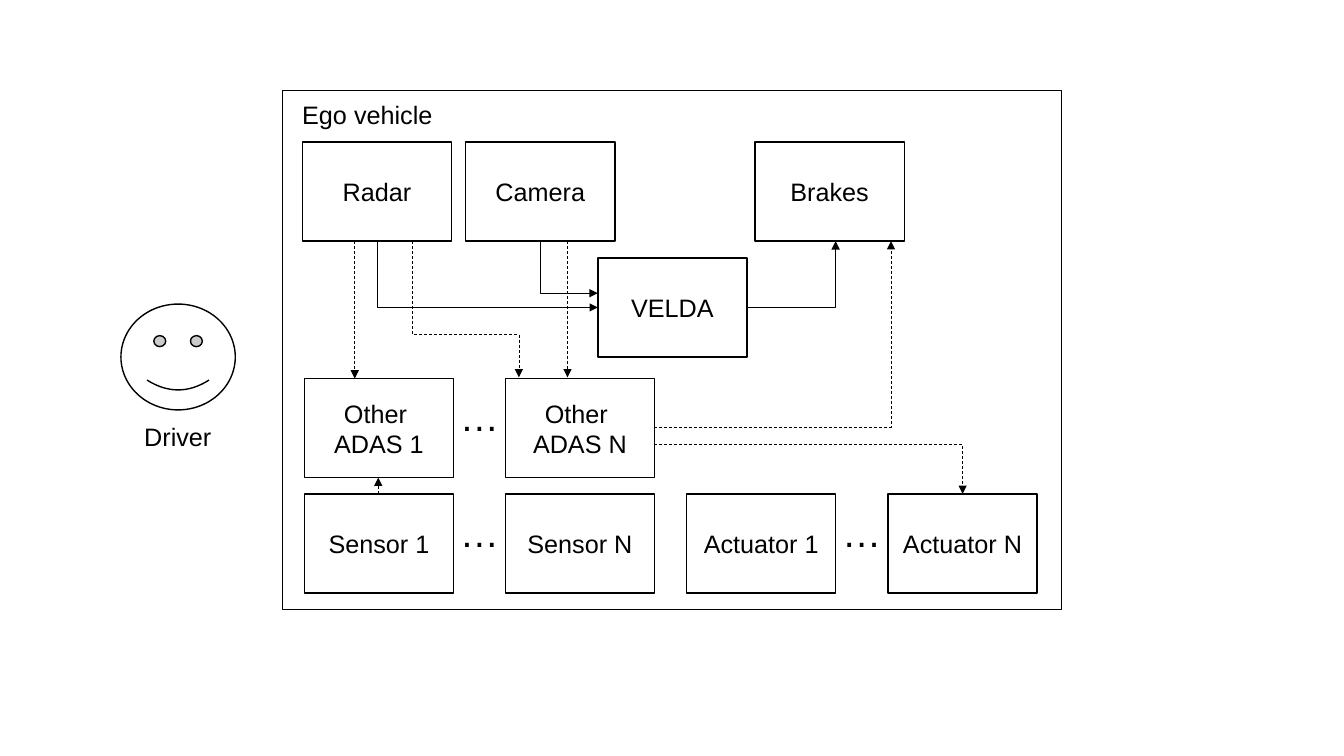
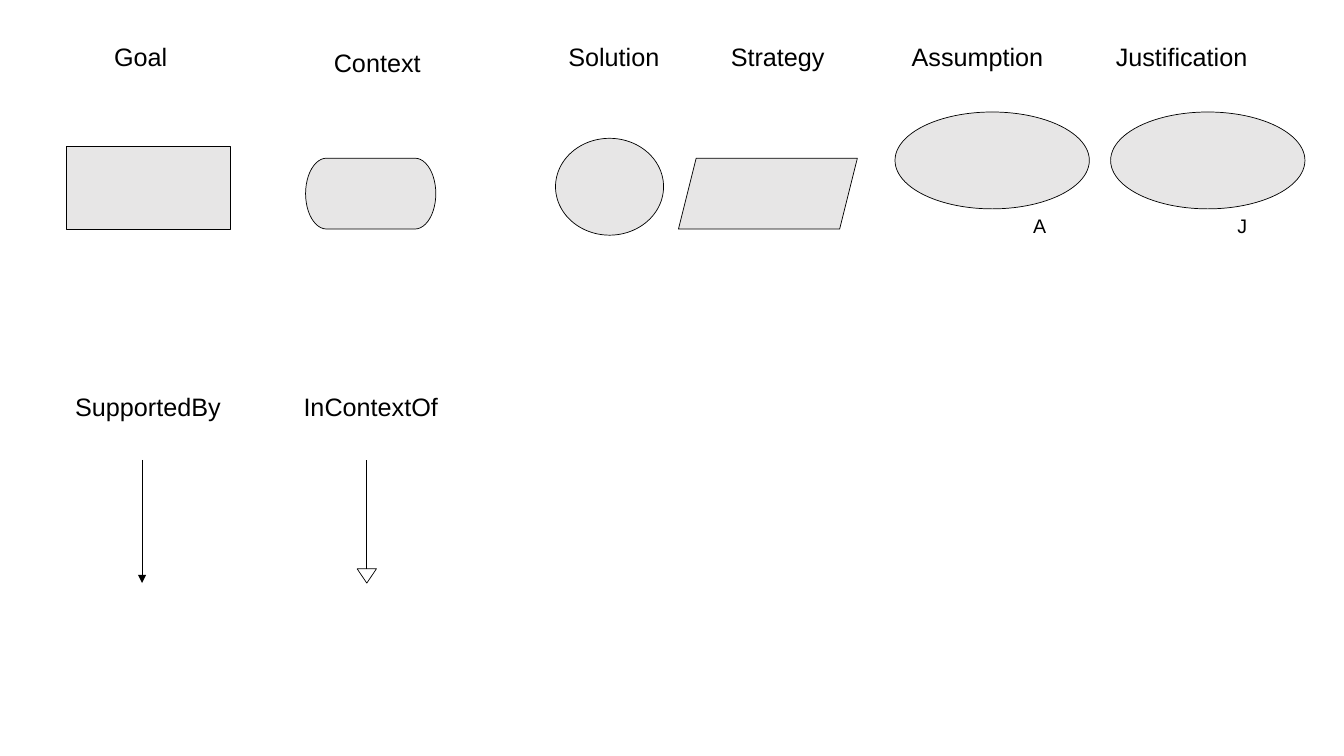
import pptx
import pptx.util
import pptx.dml.color
import pptx.enum.dml
import pptx.enum.shapes
import pptx.enum.text
import pptx.oxml.ns
from lxml import etree

Pt = pptx.util.Pt
SHAPE = pptx.enum.shapes.MSO_SHAPE
CONNECTOR = pptx.enum.shapes.MSO_CONNECTOR
ALIGN = pptx.enum.text.PP_ALIGN
ANCHOR = pptx.enum.text.MSO_ANCHOR
qn = pptx.oxml.ns.qn

# Shared style
FONT, BLACK, WHITE, GREY = "Arial", "000000", "FFFFFF", "E7E6E6"
THIN, BOLD = 0.5, 1

# Slide 1 content: boxes as (text, left, top), all of one size
BOX_W, BOX_H = 106.6, 70.8
TOP_ROW, ADAS_ROW, BOTTOM_ROW = 101.5, 270.4, 352.8
COL_1, COL_N, ACT_1, ACT_N = 217.4, 360.9, 490.4, 634.2
FRAME = (201.6, 64.8, 556.5, 370.8)
BOXES = [
    ("VELDA", 427, 184.3),
    ("Other \nADAS 1", COL_1, ADAS_ROW),
    ("Other \nADAS N", COL_N, ADAS_ROW),
    ("Radar", 216, TOP_ROW),
    ("Camera", 332.6, TOP_ROW),
    ("Brakes", 539.3, TOP_ROW),
    ("Sensor 1", COL_1, BOTTOM_ROW),
    ("Sensor N", COL_N, BOTTOM_ROW),
    ("Actuator 1", ACT_1, BOTTOM_ROW),
    ("Actuator N", ACT_N, BOTTOM_ROW),
]
# Ellipses between two boxes: left box, right box, row
GAPS = [(COL_1, COL_N, ADAS_ROW), (COL_1, COL_N, BOTTOM_ROW),
        (ACT_1, ACT_N, BOTTOM_ROW)]
DOTS_W, DOTS_H, DOTS_DROP = 64, 41, 6.4

# Flows: start, end, and format
TOP_EDGE = TOP_ROW + BOX_H
ADAS_EDGE = COL_N + BOX_W
FLOWS = [
    ((269.3, TOP_EDGE), (427, 219.6), dict(bend="bentConnector2", down=True)),
    ((385.9, TOP_EDGE), (427, 209.5), dict(bend="bentConnector2", down=True)),
    ((533.2, 219.6), (596.9, TOP_EDGE), dict(bend="bentConnector2")),
    ((253.4, TOP_EDGE), (253.4, ADAS_ROW), dict(dash=True)),
    ((405.4, TOP_EDGE), (405.4, 269.6), dict(dash=True)),
    ((294.5, TOP_EDGE), (370.6, 269.6),
     dict(bend="bentConnector3", down=True, adj=68400, dash=True)),
    ((ADAS_EDGE, 305.3), (636.5, TOP_EDGE),
     dict(bend="bentConnector2", dash=True)),
    ((ADAS_EDGE, 317.5), (687.6, BOTTOM_ROW),
     dict(bend="bentConnector2", dash=True)),
    ((270.2, BOTTOM_ROW), (270.2, ADAS_ROW + BOX_H), dict(dash=True)),
]

# Slide 2 content: symbols as (preset, left, top, width, height)
SYMBOLS = [
    (SHAPE.RECTANGLE, 47.5, 104.6, 117, 59.2),
    (SHAPE.FLOWCHART_TERMINATOR, 218.3, 113, 93, 50.6),
    (SHAPE.OVAL, 396.8, 98.8, 77.2, 69.2),
    (SHAPE.PARALLELOGRAM, 484.6, 113, 127.8, 50.6),
    (SHAPE.OVAL, 639.3, 80, 138.8, 69.2),
    (SHAPE.OVAL, 793.3, 80, 138.8, 69.2),
]
# Labels: text, left, top, width
HEAD_TOP, LINK_TOP, LABEL_H = 26.1, 276, 29
LABELS = [
    ("Goal", 59, HEAD_TOP, 83),
    ("Context", 228, 30.5, 83),
    ("Solution", 397, HEAD_TOP, 83),
    ("Strategy", 514, HEAD_TOP, 83),
    ("Assumption", 631.2, HEAD_TOP, 134),
    ("Justification", 777, HEAD_TOP, 134),
    ("SupportedBy", 38.7, LINK_TOP, 134),
    ("InContextOf", 197.8, LINK_TOP, 134),
]
MARKS = [("A", 730.8), ("J", 876.7)]
ARROW_TOP, ARROW_END = 328.5, 416.5
SUPPORT_X, CONTEXT_X, HEAD_W, HEAD_H = 101.5, 262, 13.8, 10.2


def color(value):
    return pptx.dml.color.RGBColor.from_string(value)


def write(tf, text, size=18, align=ALIGN.CENTER, anchor=ANCHOR.TOP):
    tf.word_wrap = True
    tf.vertical_anchor = anchor
    for i, line in enumerate(text.split("\n")):
        p = tf.paragraphs[0] if i == 0 else tf.add_paragraph()
        p.alignment = align
        r = p.add_run()
        r.text = line
        r.font.size, r.font.name = Pt(size), FONT
        r.font.color.rgb = color(BLACK)


def label(s, text, left, top, width, height, **fmt):
    box = s.shapes.add_textbox(Pt(left), Pt(top), Pt(width), Pt(height))
    write(box.text_frame, text, **fmt)


def shape(s, preset, left, top, width, height, fill=WHITE, weight=BOLD):
    sp = s.shapes.add_shape(preset, Pt(left), Pt(top), Pt(width), Pt(height))
    sp.shadow.inherit = False
    if fill:
        sp.fill.solid()
        sp.fill.fore_color.rgb = color(fill)
    else:
        sp.fill.background()
    sp.line.color.rgb = color(BLACK)
    sp.line.width = Pt(weight)
    return sp


def link(s, start, end, bend=None, down=False, adj=None, dash=False, head=True):
    """Line from start to end; down makes a bent one leave vertically."""
    (x1, y1), (x2, y2) = start, end
    kind = CONNECTOR.ELBOW if bend else CONNECTOR.STRAIGHT
    c = s.shapes.add_connector(kind, Pt(x1), Pt(y1), Pt(x2), Pt(y2))
    c.line.color.rgb = color(BLACK)
    c.line.width = Pt(THIN)
    if dash:
        c.line.dash_style = pptx.enum.dml.MSO_LINE.DASH
    pr = c._element.spPr
    if bend:
        geom = pr.find(qn("a:prstGeom"))
        geom.set("prst", bend)
        if adj:
            guides = geom.find(qn("a:avLst"))
            if guides is None:
                guides = etree.SubElement(geom, qn("a:avLst"))
            etree.SubElement(guides, qn("a:gd"), name="adj1", fmla=f"val {adj}")
    if down:
        # Turn the frame a quarter about its centre
        w, h = y2 - y1, x2 - x1
        c.left, c.top = Pt((x1 + x2 - w) / 2), Pt((y1 + y2 - h) / 2)
        c.width, c.height = Pt(w), Pt(h)
        xfrm = pr.find(qn("a:xfrm"))
        xfrm.set("rot", str(270 * 60000))
        xfrm.set("flipH", "1")
    if head:
        etree.SubElement(pr.find(qn("a:ln")), qn("a:tailEnd"), type="triangle")
    etree.SubElement(pr, qn("a:effectLst"))


prs = pptx.Presentation()
prs.slide_width, prs.slide_height = Pt(960), Pt(540)
blank = prs.slide_layouts[6]

# Slide 1: vehicle architecture
s = prs.slides.add_slide(blank)
shape(s, SHAPE.RECTANGLE, *FRAME)
for text, left, top in BOXES:
    sp = shape(s, SHAPE.RECTANGLE, left, top, BOX_W, BOX_H)
    write(sp.text_frame, text, anchor=ANCHOR.MIDDLE)
for first, last, row in GAPS:
    middle = (first + BOX_W + last) / 2
    label(s, "…", middle - DOTS_W / 2, row + DOTS_DROP, DOTS_W, DOTS_H, size=28)
label(s, "Ego vehicle", 208.8, 67.7, 128, LABEL_H, align=ALIGN.LEFT)
shape(s, SHAPE.SMILEY_FACE, 86.4, 217.2, 81.7, 75.6)
label(s, "Driver", 76.5, 297.5, 101, LABEL_H)
for start, end, fmt in FLOWS:
    link(s, start, end, **fmt)

# Slide 2: notation legend
s = prs.slides.add_slide(blank)
for preset, *place in SYMBOLS:
    shape(s, preset, *place, fill=GREY, weight=THIN)
for text, left, top, width in LABELS:
    label(s, text, left, top, width, LABEL_H)
for text, left in MARKS:
    label(s, text, left, 149, 29, 24.2, size=14, align=ALIGN.LEFT)
link(s, (SUPPORT_X, ARROW_TOP), (SUPPORT_X, ARROW_END))
head_top = ARROW_END - HEAD_H
link(s, (CONTEXT_X, head_top), (CONTEXT_X, ARROW_TOP), head=False)
tip = shape(s, SHAPE.ISOSCELES_TRIANGLE, CONTEXT_X - HEAD_W / 2, head_top,
            HEAD_W, HEAD_H, fill=None, weight=THIN)
tip.rotation = 180

prs.save("out.pptx")
